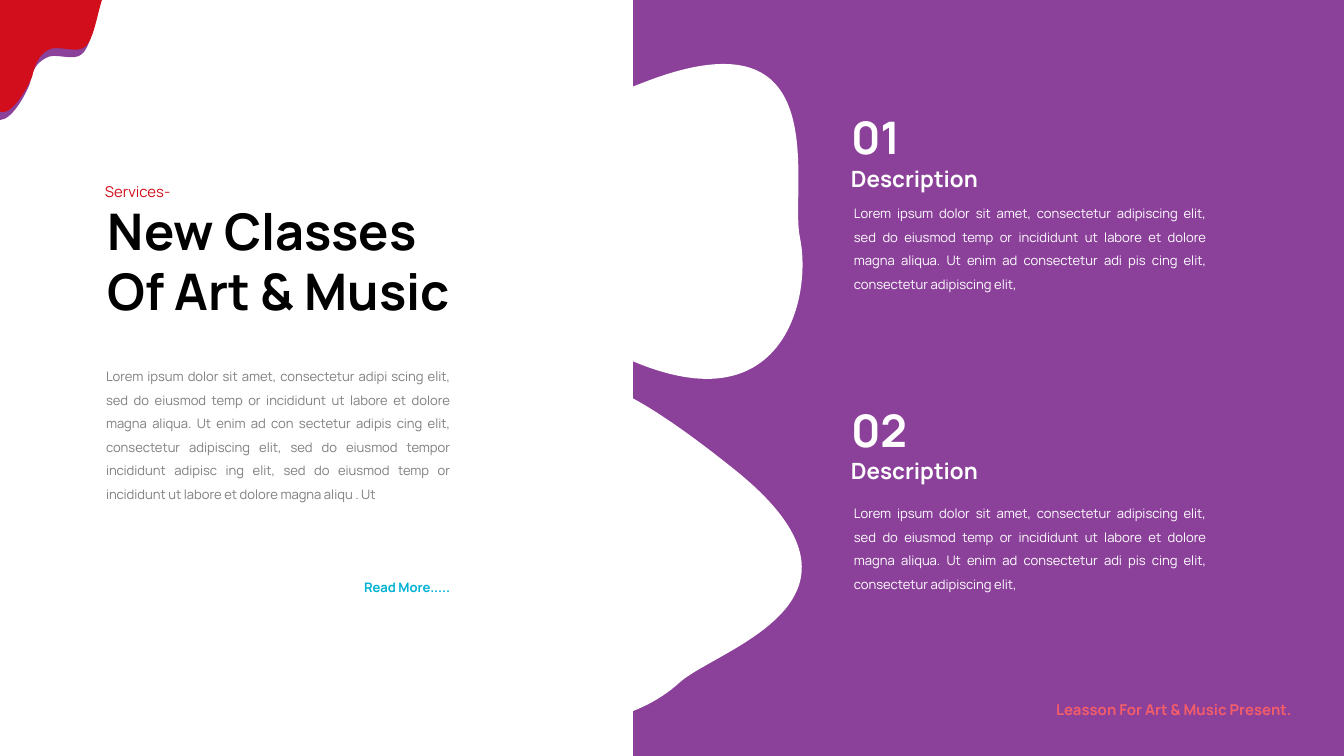
import math
import pptx
import pptx.util
import pptx.dml.color
import pptx.enum.text
import pptx.enum.shapes
import pptx.oxml.ns
import lxml.etree
from dataclasses import dataclass

SCALE = 914400 / 134.4  # EMU in one px
ALIGN = pptx.enum.text.PP_ALIGN
QN = pptx.oxml.ns.qn


@dataclass(frozen=True)
class Theme:
    font: str = "Manrope"
    purple: str = "8B409A"
    red: str = "D20E1C"
    coral: str = "F45E69"
    cyan: str = "01B2D4"
    white: str = "FFFFFF"
    black: str = "000000"
    gray: str = "7F7F7F"
    title: int = 27
    number: int = 24
    head: int = 12
    label: int = 8
    body: int = 7


THEME = Theme()
WIDE = (13, 7)   # side and top insets
SLIM = (11, 5)

INTRO = (
    "Lorem ipsum dolor sit amet, consectetur adipi scing elit, sed do eiusmod "
    "temp or incididunt ut labore et dolore magna aliqua. Ut enim ad con "
    "sectetur adipis cing elit, consectetur adipiscing elit, sed do eiusmod "
    "tempor incididunt adipisc ing elit, sed do eiusmod temp or incididunt ut "
    "labore et dolore magna aliqu . Ut"
)
DETAIL = (
    "Lorem ipsum dolor sit amet, consectetur adipiscing elit, sed do eiusmod "
    "temp or incididunt ut labore et dolore magna aliqua. Ut enim ad "
    "consectetur adi pis cing elit, consectetur adipiscing elit, "
)

# Each blob: box, turn, straight points, then curves of two controls and an end
PAINT_BACK = ((-7, 15, 113, 98), 90, [(0, 8), (98, 8)], [
    [(95, 19), (91, 46), (82, 54)], [(74, 62), (54, 52), (46, 58)],
    [(36, 63), (32, 71), (30, 83)], [(26, 94), (12, 120), (0, 120)]])
PAINT_FRONT = ((-5, 5, 113, 102), 90, [(0, 0), (102, 0)], [
    [(98, 11), (94, 38), (86, 46)], [(77, 55), (58, 44), (48, 50)],
    [(39, 55), (35, 64), (32, 77)], [(28, 87), (12, 116), (0, 112)]])
BLOB_TOP = ((481, 65, 321, 314), 0, [(645, 82)], [
    [(839, 7), (789, 188), (800, 238)], [(810, 286), (793, 379), (707, 379)],
    [(622, 379), (500, 286), (489, 238)], [(478, 188), (450, 157), (645, 82)]])
BLOB_LOW = ((453, 382, 321, 314), 60, [(735, 470)], [
    [(898, 601), (716, 649), (679, 683)], [(641, 718), (554, 749), (511, 673)],
    [(468, 599), (485, 448), (523, 414)], [(560, 380), (573, 340), (735, 470)]])


def px(size):
    return pptx.util.Emu(round(size * SCALE))


def rgb(color):
    return pptx.dml.color.RGBColor.from_string(color)


def paint(shape, color):
    shape.shadow.inherit = False
    shape.fill.solid()
    shape.fill.fore_color.rgb = rgb(color)
    shape.line.fill.background()


def add_panel(slide, box, color):
    kind = pptx.enum.shapes.MSO_SHAPE.RECTANGLE
    paint(slide.shapes.add_shape(kind, *map(px, box)), color)


def add_blob(shapes, blob, color):
    (left, top, width, height), turn, points, curves = blob
    right, low = left + width, top + height
    pen = shapes.build_freeform(px(left), px(top))
    pen.add_line_segments([(px(right), px(top)), (px(right), px(low)),
                           (px(left), px(low))], close=True)
    shape = pen.convert_to_shape()
    shape.rotation = turn
    paint(shape, color)

    # Swap the frame's outline for curves, turned back into the box
    cos, sin = math.cos(math.radians(turn)), math.sin(math.radians(turn))
    trace = shape.element.find(".//" + QN("a:path"))
    for part in list(trace):
        trace.remove(part)

    def draw(tag, spots):
        part = lxml.etree.SubElement(trace, QN(tag))
        for x, y in spots:
            dx, dy = x - left - width / 2, y - top - height / 2
            spot = lxml.etree.SubElement(part, QN("a:pt"))
            spot.set("x", str(px(dx * cos + dy * sin + width / 2)))
            spot.set("y", str(px(dy * cos - dx * sin + height / 2)))

    draw("a:moveTo", points[:1])
    for point in points[1:]:
        draw("a:lnTo", [point])
    for curve in curves:
        draw("a:cubicBezTo", curve)
    draw("a:close", [])


def add_text(slide, box, text, size, color, bold=False, align=ALIGN.LEFT,
             inset=WIDE, space=1.5):
    shape = slide.shapes.add_textbox(*map(px, box))
    frame = shape.text_frame
    frame.word_wrap = True
    frame.auto_size = pptx.enum.text.MSO_AUTO_SIZE.SHAPE_TO_FIT_TEXT
    frame.margin_left = frame.margin_right = px(inset[0])
    frame.margin_top = frame.margin_bottom = px(inset[1])
    para = frame.paragraphs[0]
    para.alignment = align
    para.line_spacing = space
    run = para.add_run()
    run.text = text
    run.font.name = THEME.font
    run.font.size = pptx.util.Pt(size)
    run.font.bold = bold
    run.font.color.rgb = rgb(color)


def add_item(slide, number, top, head, body):
    """Number, heading and body text, each at its own top."""
    add_text(slide, (840, top, 81, 91), number, THEME.number, THEME.white,
             bold=True, inset=SLIM)
    add_text(slide, (840, head, 292, 51), "Description", THEME.head,
             THEME.white, bold=True, inset=SLIM)
    add_text(slide, (841, body, 378, 108), DETAIL, THEME.body,
             THEME.white, align=ALIGN.JUSTIFY)


def main():
    deck = pptx.Presentation()
    deck.slide_width, deck.slide_height = px(1344), px(756)
    slide = deck.slides.add_slide(deck.slide_layouts[6])

    # Purple half, corner paint and white blobs
    add_panel(slide, (633, 0, 711, 756), THEME.purple)
    corner = slide.shapes.add_group_shape()
    add_blob(corner.shapes, PAINT_BACK, THEME.purple)
    add_blob(corner.shapes, PAINT_FRONT, THEME.red)
    add_blob(slide.shapes, BLOB_TOP, THEME.white)
    add_blob(slide.shapes, BLOB_LOW, THEME.white)

    # Left column
    add_text(slide, (95, 193, 394, 134), "New Classes Of Art & Music",
             THEME.title, THEME.black, bold=True, space=1.0)
    add_text(slide, (94, 169, 169, 36), "Services-", THEME.label, THEME.red,
             align=ALIGN.JUSTIFY, inset=SLIM)
    add_text(slide, (93, 354, 370, 155), INTRO, THEME.body, THEME.gray,
             align=ALIGN.JUSTIFY)
    add_text(slide, (312, 565, 151, 38), "Read More.....", THEME.body,
             THEME.cyan, bold=True, align=ALIGN.RIGHT)

    # Right column
    add_item(slide, "01", 78, 147, 191)
    add_item(slide, "02", 371, 439, 491)
    add_text(slide, (925, 687, 378, 36), "Leasson For Art & Music Present.",
             THEME.label, THEME.coral, bold=True, align=ALIGN.RIGHT, inset=SLIM)

    deck.save("out.pptx")


if __name__ == "__main__":
    main()
